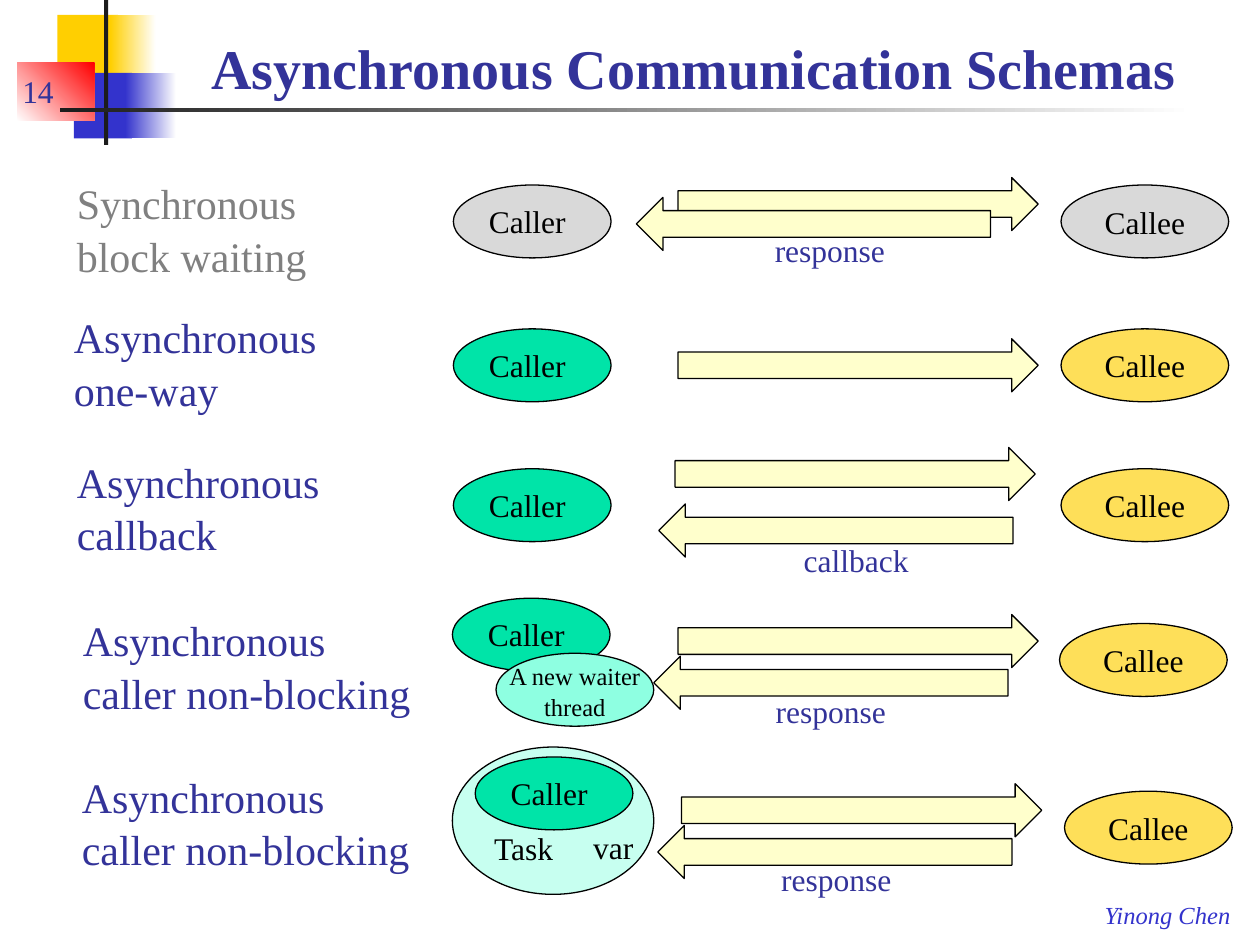
from dataclasses import dataclass
from typing import Optional

from pptx import Presentation
from pptx.dml.color import RGBColor
from pptx.enum.shapes import MSO_SHAPE
from pptx.enum.text import MSO_ANCHOR, PP_ALIGN
from pptx.util import Cm, Pt


@dataclass(frozen=True)
class Theme:
    font: str = "Times New Roman"
    title_size: int = 32
    label_size: int = 24
    body_size: int = 18
    small_size: int = 14
    line_width: float = 0.75
    text_spacing: float = 1.05
    navy: str = "333399"
    blue: str = "3333CC"
    gray: str = "808080"
    black: str = "000000"
    white: str = "FFFFFF"
    ink: str = "1C1C1C"
    gold: str = "FFCF01"
    red: str = "FF0000"
    silver: str = "D9D9D9"
    green: str = "00E4A8"
    mint: str = "8EFFE1"
    pale_mint: str = "C7FFF0"
    yellow: str = "FEDF59"
    cream: str = "FFFFCC"


THEME = Theme()
CALLER_SIZE = (3.18, 1.47)
CALLEE_SIZE = (3.38, 1.47)
REQUEST_SIZE = (7.26, 1.07)
REPLY_SIZE = (7.14, 1.07)
REPLY_TEXT_SIZE = (3.18, 1.02)


@dataclass(frozen=True)
class Scheme:
    """Places are (left, offset from the top of the row) in centimetres."""
    label: str
    top: float
    label_place: tuple
    request_place: tuple
    caller_place: tuple = (9.14, 0)
    callee_left: float = 21.39
    label_width: float = 5.82
    reply: str = ""
    reply_place: Optional[tuple] = None
    reply_text_place: Optional[tuple] = None
    label_color: str = THEME.navy
    caller_color: str = THEME.green
    callee_color: str = THEME.yellow
    has_task: bool = False
    has_waiter: bool = False


SCHEMES = [
    Scheme("Synchronous block waiting", 3.73, (1.3, -0.33), (13.67, -0.15),
           reply="response", reply_place=(12.83, 0.25), reply_text_place=(15.14, 0.76),
           label_color=THEME.gray, caller_color=THEME.silver, callee_color=THEME.silver),
    Scheme("Asynchronous one-way", 6.63, (1.24, -0.53), (13.67, 0.2)),
    Scheme("Asynchronous callback", 9.45, (1.3, -0.43), (13.61, -0.43),
           reply="callback", reply_place=(13.28, 0.71), reply_text_place=(15.67, 1.3)),
    Scheme("Asynchronous caller non-blocking", 12.57, (1.42, -0.36), (13.67, -0.18),
           caller_place=(9.12, -0.51), callee_left=21.36, label_width=7.26,
           reply="response", reply_place=(13.18, 0.66), reply_text_place=(15.16, 1.22),
           has_waiter=True),
    Scheme("Asynchronous caller non-blocking", 15.95, (1.4, -0.58), (13.74, -0.15),
           caller_place=(9.58, -0.69), callee_left=21.46, label_width=7.26,
           reply="response", reply_place=(13.26, 0.69), reply_text_place=(15.27, 1.22),
           has_task=True),
]


def write_text(shape, text, size=THEME.body_size, color=THEME.black, bold=False,
               italic=False, align=PP_ALIGN.LEFT, anchor=MSO_ANCHOR.TOP,
               wrap=True, spacing=1.0):
    frame = shape.text_frame
    frame.word_wrap = wrap
    frame.vertical_anchor = anchor
    paragraph = frame.paragraphs[0]
    paragraph.alignment = align
    paragraph.line_spacing = spacing
    run = paragraph.add_run()
    run.text = text
    run.font.name = THEME.font
    run.font.size = Pt(size)
    run.font.bold = bold
    run.font.italic = italic
    run.font.color.rgb = RGBColor.from_string(color)


def add_text(shapes, box, text, **text_format):
    shape = shapes.add_textbox(*map(Cm, box))
    write_text(shape, text, spacing=THEME.text_spacing, **text_format)


def add_figure(shapes, kind, box, color, end_color=None, angle=0, outlined=True):
    shape = shapes.add_shape(kind, *map(Cm, box))
    shape.shadow.inherit = False
    if end_color:
        shape.fill.gradient()
        shape.fill.gradient_angle = angle
        for stop, stop_color in zip(shape.fill.gradient_stops, (color, end_color)):
            stop.color.rgb = RGBColor.from_string(stop_color)
            stop.position = 0 if stop_color == color else 1
    else:
        shape.fill.solid()
        shape.fill.fore_color.rgb = RGBColor.from_string(color)
    if outlined:
        shape.line.color.rgb = RGBColor.from_string(THEME.black)
        shape.line.width = Pt(THEME.line_width)
    else:
        shape.line.fill.background()
    return shape


def add_header_ornament(shapes, left, top):
    pieces = [
        (0.81, 0.3, 1.22, 1.32, THEME.gold, None, 0),
        (1.88, 0.3, 0.91, 1.32, THEME.gold, THEME.white, 0),
        (1.14, 1.47, 1.17, 1.32, THEME.blue, None, 0),
        (2.18, 1.47, 1.02, 1.32, THEME.blue, THEME.white, 0),
        (0, 1.27, 1.55, 1.17, THEME.white, THEME.red, 45),
        (1.75, 0, 0.08, 2.92, THEME.ink, None, 0),
        (0.86, 2.18, 22.86, 0.08, THEME.ink, THEME.white, 0),
    ]
    for across, down, width, height, color, end_color, angle in pieces:
        add_figure(shapes, MSO_SHAPE.RECTANGLE, (left + across, top + down, width, height),
                   color, end_color, angle, outlined=False)


def add_title(slide, box, text):
    title = slide.shapes.title
    title.left, title.top, title.width, title.height = map(Cm, box)
    write_text(title, text, size=THEME.title_size, color=THEME.navy, bold=True,
               anchor=MSO_ANCHOR.BOTTOM)


def add_waiter(shapes, left, top):
    box = (left, top, *CALLER_SIZE)
    add_figure(shapes, MSO_SHAPE.OVAL, box, THEME.mint)
    add_text(shapes, box, "A new waiter thread", size=THEME.small_size, align=PP_ALIGN.CENTER)


def add_task(shapes, left, top):
    task = add_figure(shapes, MSO_SHAPE.OVAL, (left, top, 4.06, 2.97), THEME.pale_mint)
    write_text(task, "Task", anchor=MSO_ANCHOR.BOTTOM)
    add_text(shapes, (left + 2.59, top + 1.47, 1.32, 1.02), "var", wrap=False)


def add_scheme(shapes, scheme):
    def box_at(place, size):
        return (place[0], scheme.top + place[1], *size)

    if scheme.has_task:
        add_task(shapes, 9.12, scheme.top - 0.89)
    caller = add_figure(shapes, MSO_SHAPE.OVAL, box_at(scheme.caller_place, CALLER_SIZE),
                        scheme.caller_color)
    write_text(caller, "Caller")
    add_figure(shapes, MSO_SHAPE.RIGHT_ARROW, box_at(scheme.request_place, REQUEST_SIZE),
               THEME.cream)
    callee = add_figure(shapes, MSO_SHAPE.OVAL, box_at((scheme.callee_left, 0), CALLEE_SIZE),
                        scheme.callee_color)
    write_text(callee, "Callee", align=PP_ALIGN.CENTER, anchor=MSO_ANCHOR.MIDDLE)
    add_text(shapes, box_at(scheme.label_place, (scheme.label_width, 2.31)), scheme.label,
             size=THEME.label_size, color=scheme.label_color)
    if scheme.reply:
        add_figure(shapes, MSO_SHAPE.LEFT_ARROW, box_at(scheme.reply_place, REPLY_SIZE),
                   THEME.cream)
        add_text(shapes, box_at(scheme.reply_text_place, REPLY_TEXT_SIZE), scheme.reply,
                 color=THEME.navy, align=PP_ALIGN.CENTER)
    if scheme.has_waiter:
        add_waiter(shapes, 10, scheme.top + 0.6)


def main():
    presentation = Presentation()
    presentation.slide_width, presentation.slide_height = Cm(25.4), Cm(19.05)
    slide = presentation.slides.add_slide(presentation.slide_layouts[5])
    add_header_ornament(slide.shapes, 0.35, 0)
    add_title(slide, (4.01, 0.43, 21.16, 1.73), "Asynchronous Communication Schemas")
    add_text(slide.shapes, (0.2, 1.07, 2.16, 1.27), "14", color=THEME.navy,
             anchor=MSO_ANCHOR.BOTTOM)
    add_text(slide.shapes, (22.02, 17.98, 3.05, 0.86), "Yinong Chen", size=THEME.small_size,
             color=THEME.blue, italic=True, wrap=False)
    for scheme in SCHEMES:
        add_scheme(slide.shapes.add_group_shape().shapes, scheme)
    presentation.save("out.pptx")


if __name__ == "__main__":
    main()
